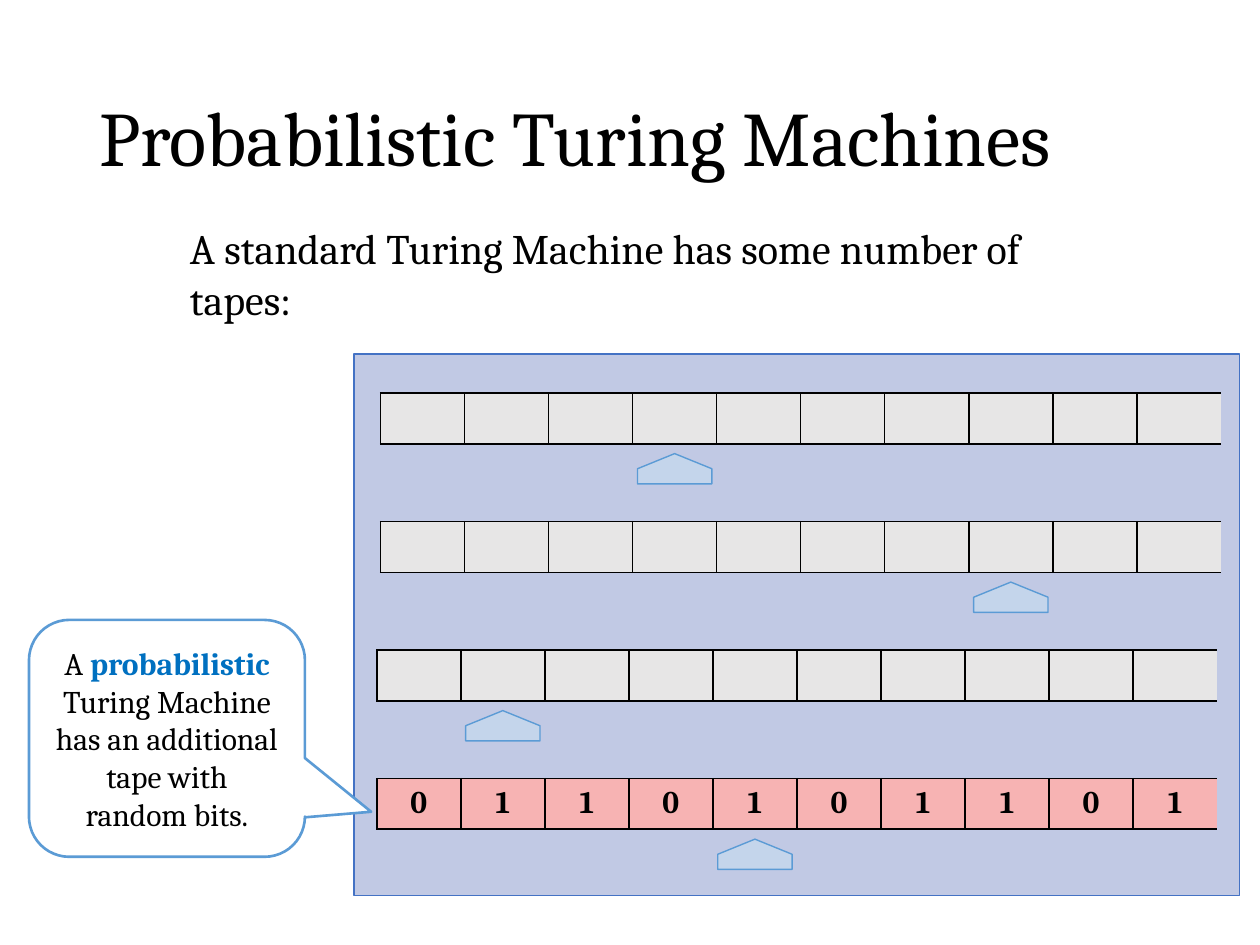
from dataclasses import dataclass

from lxml import etree
from pptx import Presentation, util as u
from pptx.dml.color import RGBColor
from pptx.enum import shapes, text
from pptx.oxml import ns


@dataclass(frozen=True)
class Theme:
    font: str = "Cambria"
    ink: str = "000000"
    accent: str = "0070C0"
    panel: str = "C1C9E4"
    panel_edge: str = "4472C4"
    blank: str = "E7E6E6"
    random: str = "F7B3B3"
    head: str = "C4D5EB"
    edge: str = "5B9BD5"
    paper: str = "FFFFFF"
    title_size: int = 44
    lead_size: int = 24
    body_size: int = 18


THEME = Theme()

TITLE = "Probabilistic Turing Machines"
LEAD = "A standard Turing Machine has some number of tapes:"
CALLOUT = [
    ("A ", {}),
    ("probabilistic ", {"color": THEME.accent, "bold": True}),
    ("Turing Machine has an additional tape with random bits.", {}),
]
CELLS = 10
TAPES = [
    {"bits": " " * CELLS, "head": 3, "left": 3.02, "fill": THEME.blank},
    {"bits": " " * CELLS, "head": 7, "left": 3.02, "fill": THEME.blank},
    {"bits": " " * CELLS, "head": 1, "left": 2.99, "fill": THEME.blank},
    {"bits": "0110101101", "head": 4, "left": 2.99, "fill": THEME.random},
]
TAPE_TOP, TAPE_PITCH = 3.12, 1.02
TAPE_WIDTH, TAPE_HEIGHT = 6.67, 0.4
CELL_WIDTH = TAPE_WIDTH / CELLS
HEAD_LENGTH, HEAD_SPAN, HEAD_DROP = 0.24, 0.59, 0.6


def inches(*lengths):
    return [u.Inches(length) for length in lengths]


def write(paragraph, words, size=THEME.body_size, color=THEME.ink, bold=False, align=None):
    run = paragraph.add_run()
    run.text = words
    run.font.name = THEME.font
    run.font.size = u.Pt(size)
    run.font.bold = bold
    run.font.color.rgb = RGBColor.from_string(color)
    if align is not None:
        paragraph.alignment = align


def draw(slide, preset, box, fill, line, width=0.79):
    shape = slide.shapes.add_shape(preset, *inches(*box))
    shape.shadow.inherit = False
    shape.fill.solid()
    shape.fill.fore_color.rgb = RGBColor.from_string(fill)
    shape.line.color.rgb = RGBColor.from_string(line)
    shape.line.width = u.Pt(width)
    return shape


def set_borders(cell, open_right):
    properties = cell._tc.get_or_add_tcPr()
    for side in "LRTB":
        border = etree.SubElement(properties, ns.qn(f"a:ln{side}"), w=str(u.Pt(1)))
        if side == "R" and open_right:
            etree.SubElement(border, ns.qn("a:noFill"))
        else:
            paint = etree.SubElement(border, ns.qn("a:solidFill"))
            etree.SubElement(paint, ns.qn("a:srgbClr"), val=THEME.ink)


def add_tape(slide, tape, top):
    frame = slide.shapes.add_table(1, CELLS, *inches(tape["left"], top, TAPE_WIDTH, TAPE_HEIGHT))
    table = frame.table
    table.first_row = table.horz_banding = False
    for column, bit in enumerate(tape["bits"]):
        table.columns[column].width = u.Inches(CELL_WIDTH)
        cell = table.cell(0, column)
        set_borders(cell, open_right=column == CELLS - 1)
        cell.fill.solid()
        cell.fill.fore_color.rgb = RGBColor.from_string(tape["fill"])
        paragraph = cell.text_frame.paragraphs[0]
        if bit.strip():
            write(paragraph, bit, bold=True, align=text.PP_ALIGN.CENTER)
        else:
            paragraph.font.size = u.Pt(THEME.body_size)


def add_head(slide, tape, top):
    center = tape["left"] + (tape["head"] + 0.5) * CELL_WIDTH
    box = (center - HEAD_LENGTH / 2, top + HEAD_DROP - HEAD_SPAN / 2, HEAD_LENGTH, HEAD_SPAN)
    head = draw(slide, shapes.MSO_SHAPE.PENTAGON, box, THEME.head, THEME.edge)
    head.rotation = 270


def main():
    deck = Presentation()
    deck.slide_width, deck.slide_height = inches(10, 7.5)
    slide = deck.slides.add_slide(deck.slide_layouts[5])

    title = slide.shapes.title
    title.left, title.top, title.width, title.height = inches(0.69, 0.4, 8.62, 1.45)
    title.text_frame.vertical_anchor = text.MSO_ANCHOR.MIDDLE
    heading = title.text_frame.paragraphs[0]
    heading.line_spacing = 0.9
    write(heading, TITLE, size=THEME.title_size, align=text.PP_ALIGN.LEFT)

    draw(slide, shapes.MSO_SHAPE.RECTANGLE, (2.81, 2.81, 7.03, 4.3), THEME.panel, THEME.panel_edge)
    for row, tape in enumerate(TAPES):
        top = TAPE_TOP + row * TAPE_PITCH
        add_tape(slide, tape, top)
        add_head(slide, tape, top)

    lead = slide.shapes.add_textbox(*inches(1.41, 1.72, 7.66, 0.5))
    lead.text_frame.word_wrap = True
    write(lead.text_frame.paragraphs[0], LEAD, size=THEME.lead_size)

    callout = draw(slide, shapes.MSO_SHAPE.ROUNDED_RECTANGULAR_CALLOUT,
                   (0.23, 4.92, 2.19, 1.88), THEME.paper, THEME.edge, width=1.5)
    for index, value in enumerate((0.74, 0.31, 0.17)):
        callout.adjustments[index] = value
    callout.text_frame.word_wrap = True
    callout.text_frame.vertical_anchor = text.MSO_ANCHOR.MIDDLE
    for words, style in CALLOUT:
        write(callout.text_frame.paragraphs[0], words, align=text.PP_ALIGN.CENTER, **style)

    deck.save("out.pptx")


if __name__ == "__main__":
    main()
